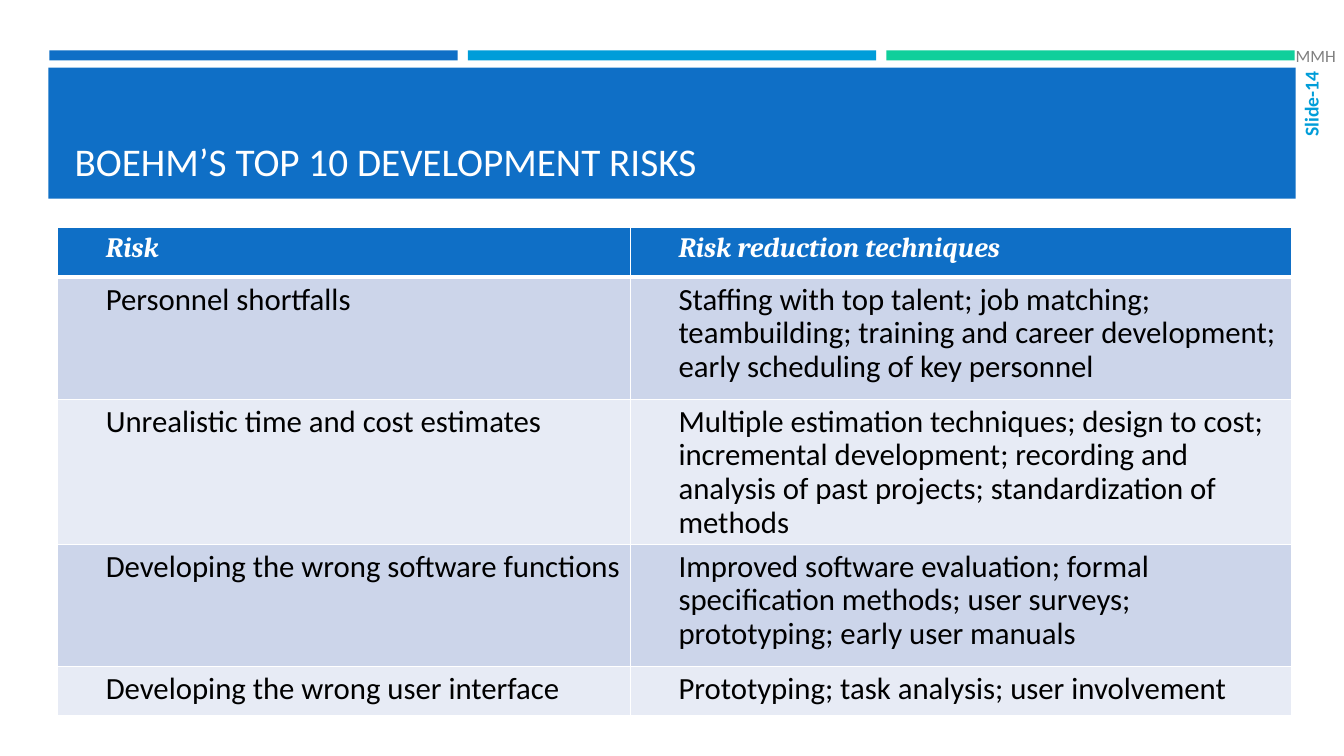
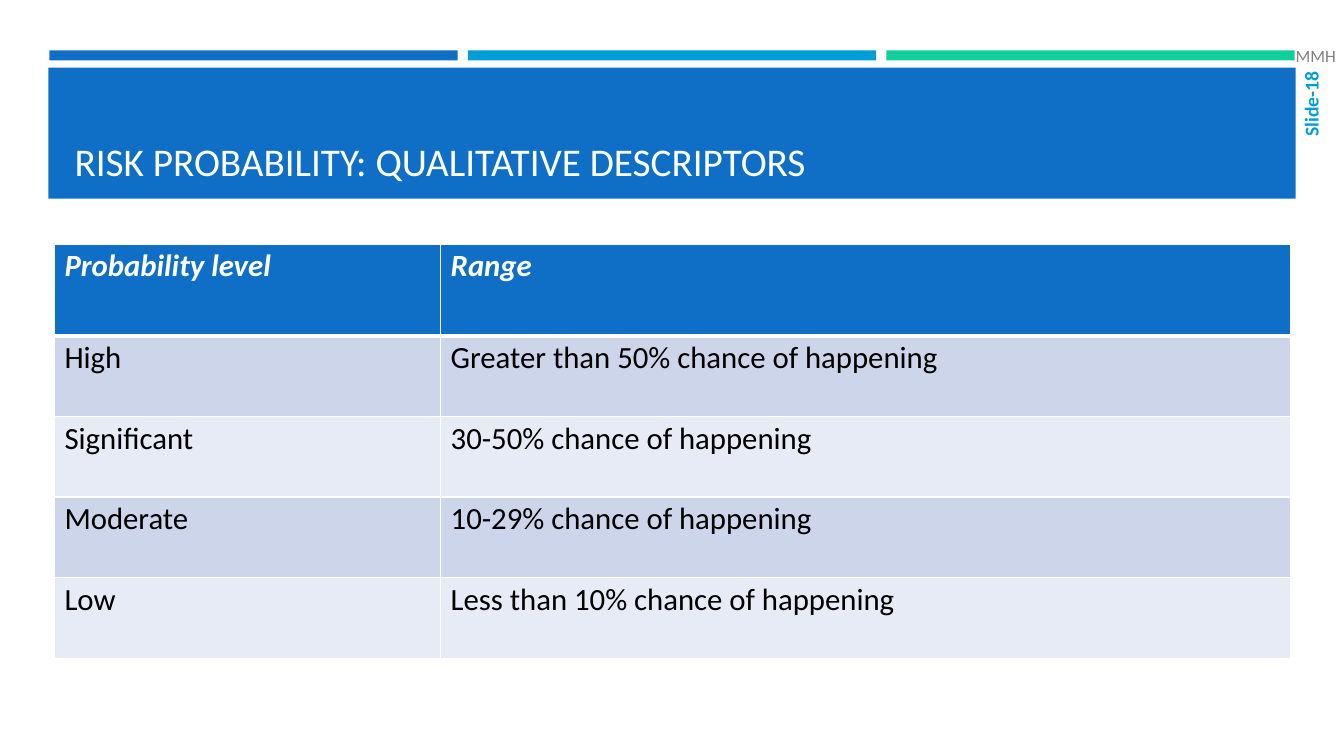
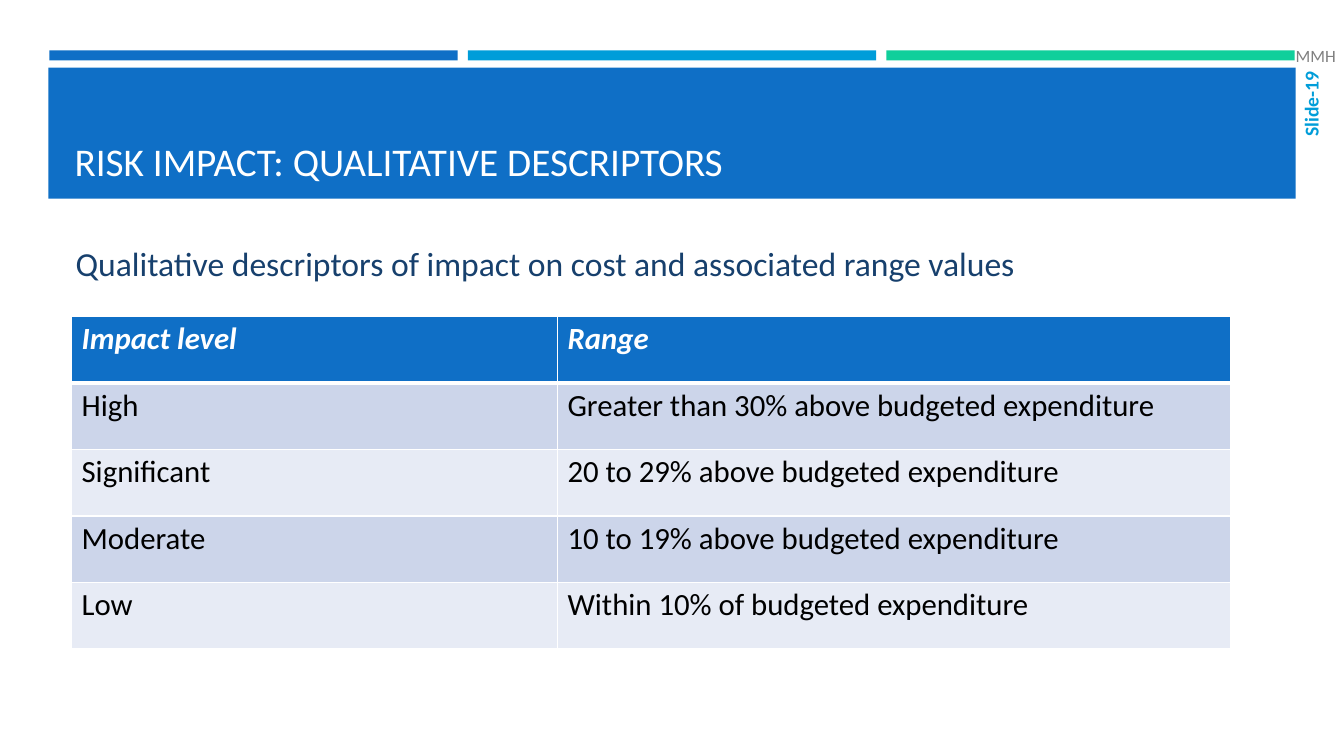
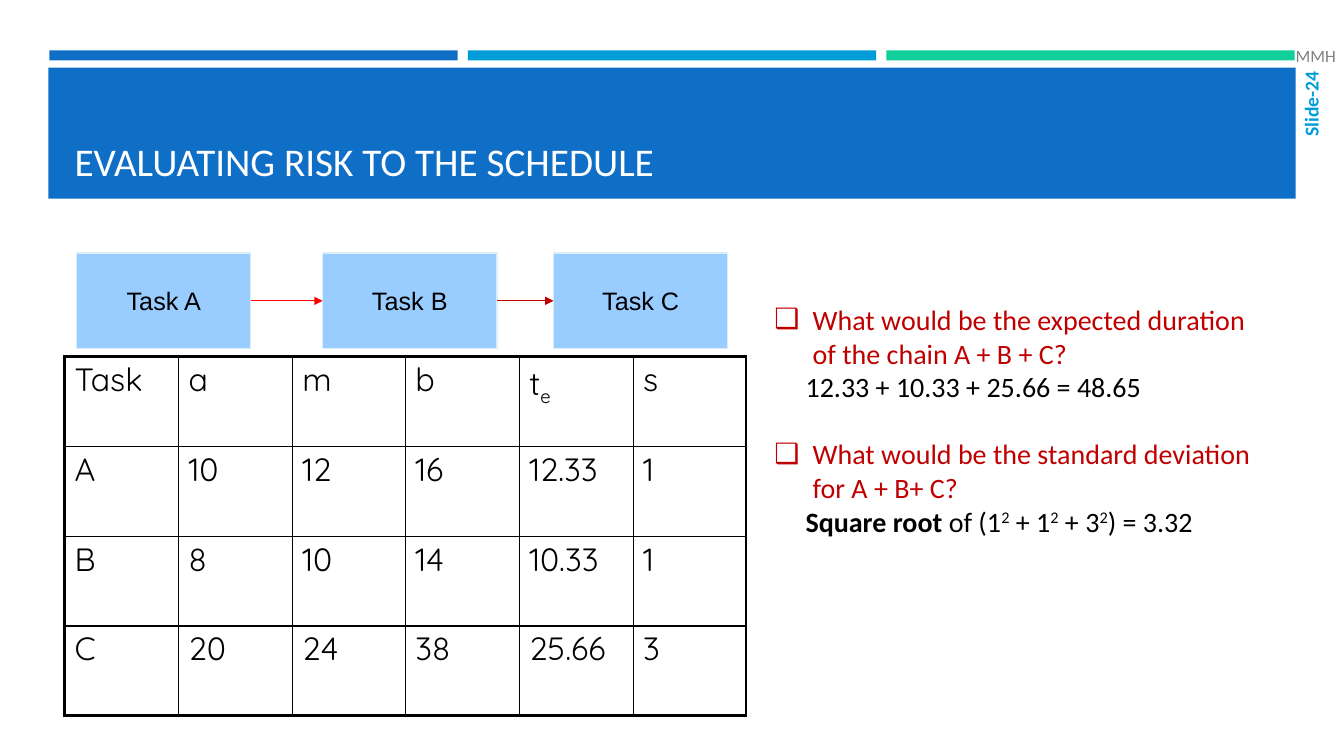
from lxml import etree
from pptx import Presentation
from pptx.dml.color import RGBColor
from pptx.enum.shapes import MSO_CONNECTOR, MSO_SHAPE
from pptx.enum.text import MSO_ANCHOR, MSO_AUTO_SIZE, PP_ALIGN
from pptx.oxml.ns import qn
from pptx.util import Pt

RECTANGLE = MSO_SHAPE.RECTANGLE
STRAIGHT = MSO_CONNECTOR.STRAIGHT
TOP, MIDDLE, BOTTOM = MSO_ANCHOR.TOP, MSO_ANCHOR.MIDDLE, MSO_ANCHOR.BOTTOM
LEFT, CENTER, RIGHT = PP_ALIGN.LEFT, PP_ALIGN.CENTER, PP_ALIGN.RIGHT
NO_AUTOFIT = MSO_AUTO_SIZE.NONE

EMU_PER_PX = 9144  # 100 px to the inch
SLIDE_SIZE = (1333, 750)
TITLE_AND_BODY, TITLE_ONLY = 1, 5

BLUE, CYAN, GREEN, NAVY = "0F6FC6", "009DD9", "10CF9B", "17406D"
WHITE, BLACK, GRAY = "FFFFFF", "000000", "808080"
DARK_RED, RED = "C00000", "FF0000"
STRIPES = ("CCD5EA", "E7EBF5")
TASK_FILL, TASK_LINE = "99CCFF", "DBEFF9"

RISK_ROWS = [
    ("Risk", "Risk reduction techniques"),
    ("Personnel shortfalls",
     "Staffing with top talent; job matching; teambuilding; training and "
     "career development; early scheduling of key personnel"),
    ("Unrealistic time and cost estimates",
     "Multiple estimation techniques; design to cost; incremental development; "
     "recording and analysis of past projects; standardization of methods"),
    ("Developing the wrong software functions",
     "Improved software evaluation; formal specification methods; user "
     "surveys; prototyping; early user manuals"),
    ("Developing the wrong user interface",
     "Prototyping; task analysis; user involvement"),
]
PROBABILITY_ROWS = [
    ("Probability level", "Range"),
    ("High", "Greater than 50% chance of happening"),
    ("Significant", "30-50% chance of happening"),
    ("Moderate", "10-29% chance of happening"),
    ("Low", "Less than 10% chance of happening"),
]
IMPACT_ROWS = [
    ("Impact level", "Range"),
    ("High", "Greater than 30% above budgeted expenditure"),
    ("Significant", "20 to 29% above budgeted expenditure"),
    ("Moderate", "10 to 19% above budgeted expenditure"),
    ("Low", "Within 10% of budgeted expenditure"),
]
ESTIMATE_ROWS = [
    ("Task", "a", "m", "b", "t", "s"),
    ("A", "10", "12", "16", "12.33", "1"),
    ("B", "8", "10", "14", "10.33", "1"),
    ("C", "20", "24", "38", "25.66", "3"),
]


def px(length):
    return round(length * EMU_PER_PX)


def color(hex_string):
    return RGBColor.from_string(hex_string)


def place(shape, left, top, width, height):
    shape.left, shape.top = px(left), px(top)
    shape.width, shape.height = px(width), px(height)


def style_runs(paragraph, size, ink, font="Calibri", bold=False, italic=False):
    for run in paragraph.runs:
        run.font.size, run.font.name = Pt(size), font
        run.font.bold, run.font.italic = bold, italic
        run.font.color.rgb = color(ink)


def add_raised_run(paragraph, text, percent):
    """Append a superscript, or a subscript when percent is negative."""
    run = paragraph.add_run()
    run.text = text
    run.font._element.set("baseline", str(percent * 1000))


def set_indent(paragraph, left, first=0, bullet=None):
    properties = paragraph._p.get_or_add_pPr()
    properties.set("marL", str(px(left)))
    properties.set("indent", str(px(first)))
    if bullet:
        etree.SubElement(properties, qn("a:buChar")).set("char", bullet)
    else:
        etree.SubElement(properties, qn("a:buNone"))


def add_rectangle(slide, box, fill, line=None):
    shape = slide.shapes.add_shape(RECTANGLE, *map(px, box))
    shape.shadow.inherit = False
    shape.fill.solid()
    shape.fill.fore_color.rgb = color(fill)
    if line:
        shape.line.color.rgb = color(line)
        shape.line.width = Pt(0.75)
    else:
        shape.line.fill.background()
    return shape


def add_label(slide, box, text, size, ink, bold=False, align=LEFT, side_margin=10):
    text_box = slide.shapes.add_textbox(*map(px, box))
    frame = text_box.text_frame
    frame.word_wrap = True
    frame.margin_left = frame.margin_right = px(side_margin)
    frame.vertical_anchor = MIDDLE
    frame.text = text
    frame.paragraphs[0].alignment = align
    style_runs(frame.paragraphs[0], size, ink, bold=bold)
    return text_box


def move_bands_to_master(presentation, slide):
    """Draw the bands on a slide, then hand them to the master all slides share."""
    bands = [add_rectangle(slide, (49 + 415 * index, 50, 405, 10), fill)
             for index, fill in enumerate((BLUE, CYAN, GREEN))]
    bands.append(add_rectangle(slide, (48, 67, 1237, 130), BLUE))
    master_tree = presentation.slide_master.shapes.element
    for index, band in enumerate(bands):
        band.element.nvSpPr.cNvPr.set("id", str(100 + index))
        master_tree.insert(2 + index, band.element)


def add_slide(presentation, layout_index, title_text, number):
    slide = presentation.slides.add_slide(presentation.slide_layouts[layout_index])
    title = slide.shapes.title
    place(title, 64, 77, 1206, 111)
    frame = title.text_frame
    frame.auto_size = NO_AUTOFIT
    frame.vertical_anchor = BOTTOM
    frame.text = title_text
    frame.paragraphs[0].alignment = LEFT
    style_runs(frame.paragraphs[0], 28, WHITE)

    number_box = add_label(slide, (1287, 61, 26, 103), f"Slide-{number}",
                           14, CYAN, bold=True, align=RIGHT)
    number_box.text_frame._txBody.bodyPr.set("vert", "vert270")
    add_label(slide, (1285, 40, 48, 30), "MMH", 12.3, GRAY, side_margin=0)
    return slide


def set_border(cell, side, ink, width):
    line = etree.SubElement(cell._tc.get_or_add_tcPr(), qn(f"a:ln{side}"))
    line.set("w", str(Pt(width)))
    fill = etree.SubElement(line, qn("a:solidFill"))
    etree.SubElement(fill, qn("a:srgbClr")).set("val", ink)


def add_table(slide, left, top, widths, heights, rows, ink, heavy,
              heavy_rows=(), heavy_columns=()):
    """Add a ruled table; heavy_rows and heavy_columns number the thick rules."""
    box = (left, top, sum(widths), sum(heights))
    table = slide.shapes.add_table(len(rows), len(widths), *map(px, box)).table
    table.horz_banding = False
    for column, width in zip(table.columns, widths):
        column.width = px(width)
    for row_index, (row, height) in enumerate(zip(table.rows, heights)):
        row.height = px(height)
        for column_index, cell in enumerate(row.cells):
            cell.margin_left = cell.margin_right = px(10)
            cell.margin_top = cell.margin_bottom = px(6)
            cell.text_frame.text = rows[row_index][column_index]
            cell.text_frame.paragraphs[0].line_spacing = 0.9
            for side, edge, thick in (("L", column_index, heavy_columns),
                                      ("R", column_index + 1, heavy_columns),
                                      ("T", row_index, heavy_rows),
                                      ("B", row_index + 1, heavy_rows)):
                set_border(cell, side, ink, heavy if edge in thick else 1)
    return table


def add_striped_table(slide, left, top, widths, heights, rows,
                      header_font="Calibri", header_size=22, indent=0):
    table = add_table(slide, left, top, widths, heights, rows, WHITE, 3, heavy_rows=(1,))
    for row_index, row in enumerate(table.rows):
        for cell in row.cells:
            paragraph = cell.text_frame.paragraphs[0]
            set_indent(paragraph, indent)
            cell.fill.solid()
            if row_index == 0:
                cell.fill.fore_color.rgb = color(BLUE)
                style_runs(paragraph, header_size, WHITE, header_font, True, True)
            else:
                cell.fill.fore_color.rgb = color(STRIPES[(row_index - 1) % 2])
                style_runs(paragraph, 22, BLACK)


def add_estimate_table(slide):
    table = add_table(slide, 64, 354, [113, 113, 112] * 2, [89] * 4, ESTIMATE_ROWS,
                      BLACK, 2.25, heavy_rows=(0, 4), heavy_columns=(0, 6))
    add_raised_run(table.cell(0, 4).text_frame.paragraphs[0], "e", -25)
    for cell in table.iter_cells():
        cell.fill.background()
        style_runs(cell.text_frame.paragraphs[0], 23, BLACK, "Quicksand")


def add_task_chain(slide):
    tasks = []
    for name, left in (("Task A", 76), ("Task B", 320), ("Task C", 549)):
        task = add_rectangle(slide, (left, 251, 173, 95), TASK_FILL, TASK_LINE)
        frame = task.text_frame
        frame.word_wrap = False
        frame.vertical_anchor = MIDDLE
        frame.text = name
        frame.paragraphs[0].alignment = CENTER
        style_runs(frame.paragraphs[0], 18, BLACK, "Arial")
        tasks.append(task)
    for start, end, ink in zip(tasks, tasks[1:], (RED, DARK_RED)):
        add_arrow(slide, start, end, ink)


def add_arrow(slide, start, end, ink):
    arrow = slide.shapes.add_connector(STRAIGHT, 0, 0, 0, 0)
    arrow.begin_connect(start, 3)
    arrow.end_connect(end, 1)
    arrow.line.color.rgb = color(ink)
    arrow.line.width = Pt(0.75)
    etree.SubElement(arrow.line._get_or_add_ln(), qn("a:tailEnd")).set("type", "triangle")
    etree.SubElement(arrow.element.spPr, qn("a:effectLst"))


def prepare_body(slide, box, anchor):
    body = slide.placeholders[1]
    place(body, *box)
    frame = body.text_frame
    frame.auto_size = NO_AUTOFIT
    frame.word_wrap = True
    frame.vertical_anchor = anchor
    return frame


def add_questions(slide):
    frame = prepare_body(slide, (758, 295, 510, 313), TOP)
    frame.text = "\n".join((
        "What would be the expected duration of the chain A + B + C?",
        "12.33 + 10.33 + 25.66 = 48.65",
        "What would be the standard deviation for A + B+ C?",
        "Square root",
    ))
    deviation = frame.paragraphs[3]
    for text in (" of (1", " + 1", " + 3"):
        deviation.add_run().text = text
        add_raised_run(deviation, "2", 30)
    deviation.add_run().text = ") = 3.32"
    for index, paragraph in enumerate(frame.paragraphs):
        is_question = index % 2 == 0
        paragraph.space_before = Pt(0)
        paragraph.space_after = Pt(0 if is_question else 24)
        if is_question:
            set_indent(paragraph, 38, -38, "❑")
        else:
            set_indent(paragraph, 31)
        style_runs(paragraph, 20, DARK_RED if is_question else BLACK)
    deviation.runs[0].font.bold = True


def add_lead(slide, text):
    frame = prepare_body(slide, (65, 220, 1168, 82), MIDDLE)
    frame.text = text
    paragraph = frame.paragraphs[0]
    paragraph.space_after = Pt(6)
    set_indent(paragraph, 0)
    style_runs(paragraph, 24, NAVY)


def main():
    presentation = Presentation()
    presentation.slide_width, presentation.slide_height = map(px, SLIDE_SIZE)

    slide = add_slide(presentation, TITLE_ONLY, "BOEHM’S TOP 10 DEVELOPMENT RISKS", 14)
    move_bands_to_master(presentation, slide)
    add_striped_table(slide, 57, 226, [568, 656], [49, 121, 121, 121, 49], RISK_ROWS,
                      header_font="Cambria", header_size=20, indent=38)

    slide = add_slide(presentation, TITLE_ONLY,
                      "RISK PROBABILITY: QUALITATIVE DESCRIPTORS", 18)
    add_striped_table(slide, 54, 242, [383, 843], [91] + [80] * 4, PROBABILITY_ROWS)

    slide = add_slide(presentation, TITLE_AND_BODY,
                      "RISK IMPACT: QUALITATIVE DESCRIPTORS", 19)
    add_lead(slide, "Qualitative descriptors of impact on cost and associated range values")
    add_striped_table(slide, 71, 314, [482, 668], [66] * 5, IMPACT_ROWS)

    slide = add_slide(presentation, TITLE_AND_BODY, "EVALUATING RISK TO THE SCHEDULE", 24)
    add_task_chain(slide)
    add_estimate_table(slide)
    add_questions(slide)

    presentation.save("out.pptx")


if __name__ == "__main__":
    main()
